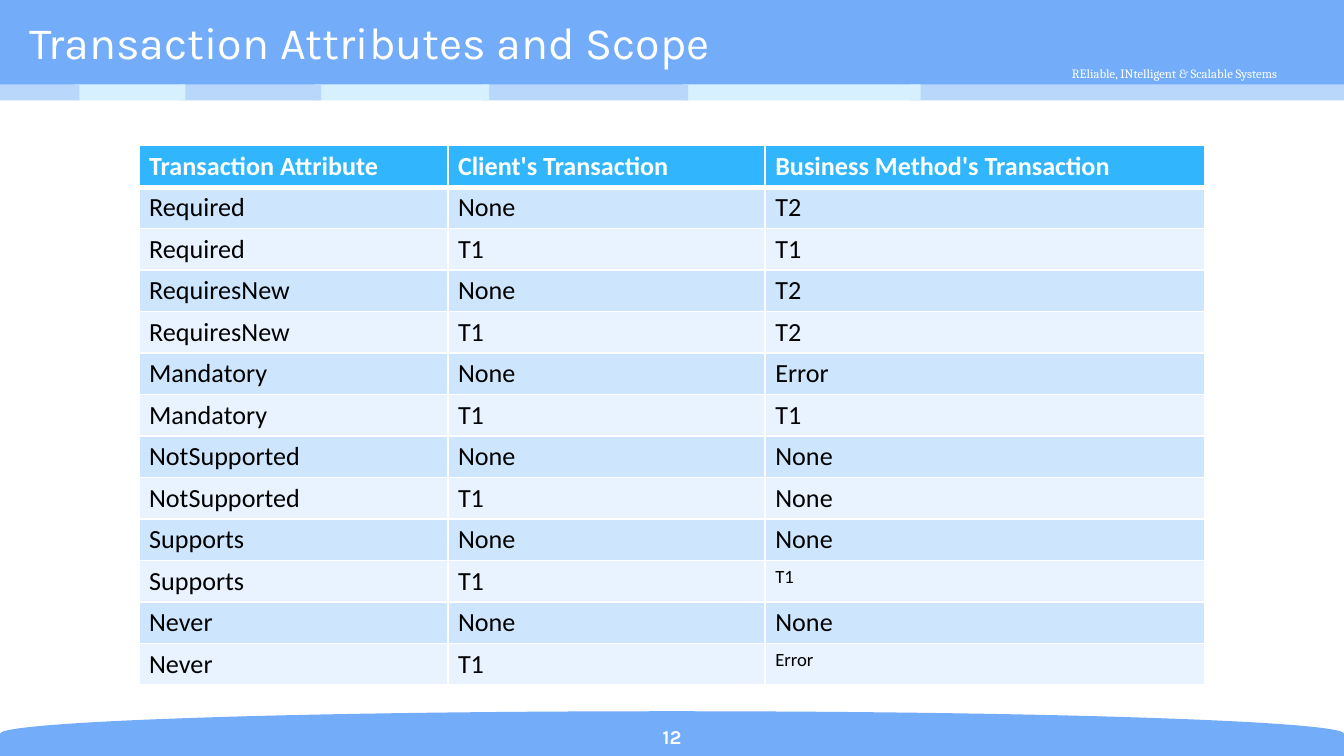
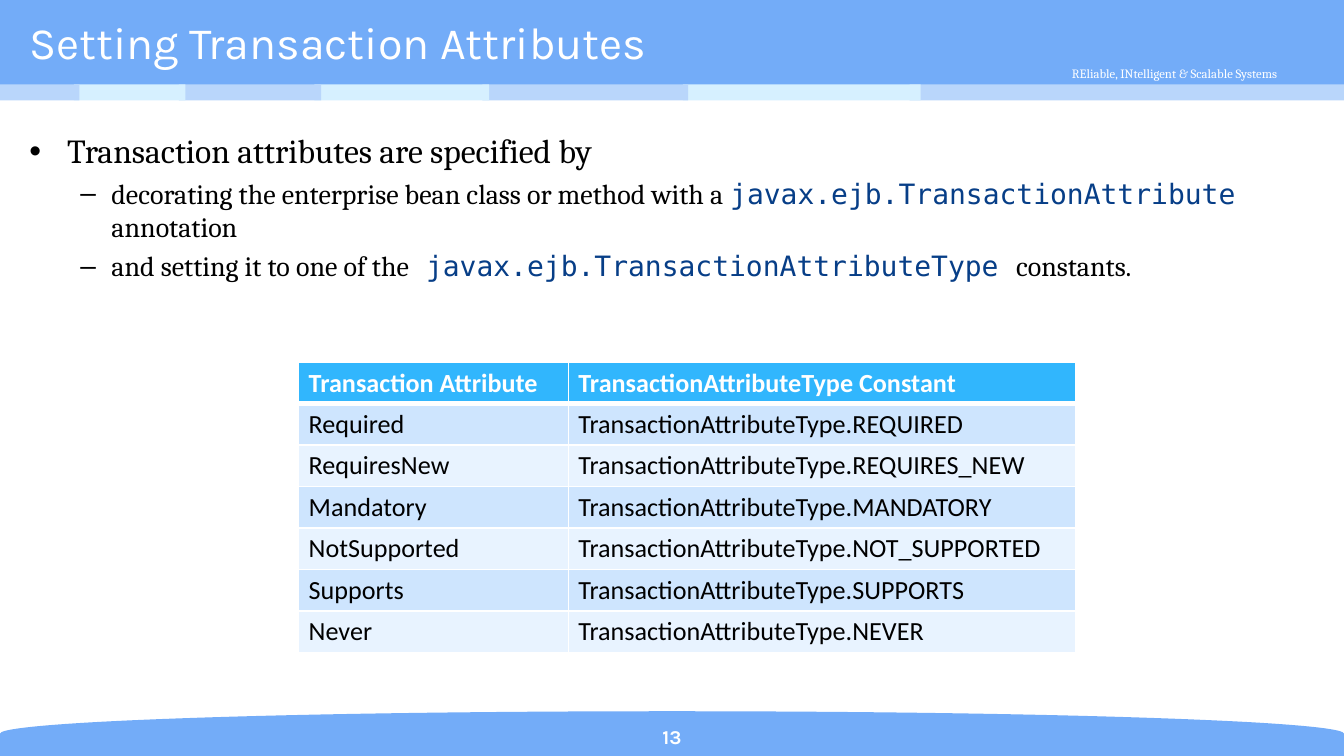
from dataclasses import dataclass

from lxml.etree import SubElement
from pptx import Presentation
from pptx.dml.color import RGBColor
from pptx.enum.shapes import MSO_SHAPE
from pptx.enum.text import MSO_ANCHOR, MSO_AUTO_SIZE, PP_ALIGN
from pptx.oxml.ns import qn
from pptx.util import Pt


@dataclass(frozen=True)
class Theme:
    blue: str = "73ACF8"
    pale: str = "B9D6FB"
    ice: str = "D6F0FF"
    white: str = "FFFFFF"
    black: str = "000000"
    navy: str = "073E87"
    head: str = "31B6FD"
    odd: str = "CEE5FE"
    even: str = "E8F3FF"
    sans: str = "Karla"
    serif: str = "Cambria"
    mono: str = "DejaVu Sans Mono"
    grid: str = "Calibri"
    title: float = 24
    lead: float = 18
    sub: float = 15
    cell: float = 14
    small: float = 10
    page: float = 10.5
    tag: float = 6.8


T = Theme()
WIDE, HIGH = 720, 405
ROW = 22.2
TAG = "REliable, INtelligent & Scalable Systems"
# Left edge and width of each strip tile
TILES = [(0, 42.5), (39.6, 59.8), (95.8, 76.3), (168.5, 93.6),
         (258.5, 110.2), (365.8, 127.4), (487.4, 232.6)]

SCOPE = [
    ("Transaction Attribute", "Client's Transaction", "Business Method's Transaction"),
    ("Required", "None", "T2"),
    ("Required", "T1", "T1"),
    ("RequiresNew", "None", "T2"),
    ("RequiresNew", "T1", "T2"),
    ("Mandatory", "None", "Error"),
    ("Mandatory", "T1", "T1"),
    ("NotSupported", "None", "None"),
    ("NotSupported", "T1", "None"),
    ("Supports", "None", "None"),
    ("Supports", "T1", "T1"),
    ("Never", "None", "None"),
    ("Never", "T1", "Error"),
]
TYPES = [
    ("Transaction Attribute", "TransactionAttributeType Constant"),
    ("Required", "TransactionAttributeType.REQUIRED"),
    ("RequiresNew", "TransactionAttributeType.REQUIRES_NEW"),
    ("Mandatory", "TransactionAttributeType.MANDATORY"),
    ("NotSupported", "TransactionAttributeType.NOT_SUPPORTED"),
    ("Supports", "TransactionAttributeType.SUPPORTS"),
    ("Never", "TransactionAttributeType.NEVER"),
]
# Level, then runs of text; every second run is code
POINTS = [
    (0, ["Transaction attributes are specified by"]),
    (1, ["decorating the enterprise bean class or method with a ",
         "javax.ejb.TransactionAttribute", " annotation"]),
    (1, ["and setting it to one of the",
         " javax.ejb.TransactionAttributeType ", "constants."]),
]
SLIDES = [
    dict(title="Transaction Attributes and Scope", page="12", layout=5,
         rows=SCOPE, left=74.5, top=78, cols=(165.5, 170, 235.5),
         small={(10, 2), (12, 2)}),
    dict(title="Setting Transaction Attributes", page="13", layout=1, points=POINTS,
         rows=TYPES, left=160, top=194, cols=(144.5, 272), small=set()),
]


def style(font, name, size, color, bold=False):
    font.name, font.size, font.bold = name, Pt(size), bold
    font.color.rgb = RGBColor.from_string(color)


def place(shape, *box):
    shape.left, shape.top, shape.width, shape.height = map(Pt, box)


def hang(para, left, first):
    """Set a hanging indent."""
    props = para._p.get_or_add_pPr()
    props.set("marL", str(Pt(left)))
    props.set("indent", str(Pt(first)))


def block(slide, kind, color, *box):
    shape = slide.shapes.add_shape(kind, *map(Pt, box))
    shape.shadow.inherit = False
    shape.fill.solid()
    shape.fill.fore_color.rgb = RGBColor.from_string(color)
    shape.line.fill.background()
    return shape


def label(slide, text, box, name, size, bold=False):
    shape = slide.shapes.add_textbox(*map(Pt, box))
    frame = shape.text_frame
    frame.word_wrap = True
    frame.text = text
    para = frame.paragraphs[0]
    para.alignment = PP_ALIGN.CENTER
    style(para.runs[0].font, name, size, T.white, bold)
    return shape


def dress(slide, master):
    """Draw the shared bands and move them to the master."""
    foot = block(slide, MSO_SHAPE.FLOWCHART_DELAY, T.blue, 348, 33, 24, WIDE)
    foot.rotation = 270
    parts = [foot, block(slide, MSO_SHAPE.RECTANGLE, T.blue, 0, 0, WIDE, 46.8)]
    tag = label(slide, TAG, (541.5, 31.7, 175.7, 15), T.serif, T.tag)
    tag.text_frame.auto_size = MSO_AUTO_SIZE.SHAPE_TO_FIT_TEXT
    parts.append(tag)
    for i, (left, width) in reversed(list(enumerate(TILES))):
        color = T.ice if i % 2 else T.pale
        parts.append(block(slide, MSO_SHAPE.RECTANGLE, color, left, 45.2, width, 8.6))
    for i, part in enumerate(parts, 100):
        part._element.nvSpPr.cNvPr.set("id", str(i))
        master.shapes._spTree.append(part._element)


def add_title(slide, text):
    shape = slide.shapes.title
    place(shape, 8.6, 8.6, 537, 32.4)
    frame = shape.text_frame
    frame.text = text
    frame.auto_size = MSO_AUTO_SIZE.NONE
    frame.vertical_anchor = MSO_ANCHOR.MIDDLE
    para = frame.paragraphs[0]
    para.alignment = PP_ALIGN.LEFT
    para.line_spacing = 0.8
    hang(para, 20.2, -20.2)
    style(para.runs[0].font, T.sans, T.title, T.white)


def add_points(slide, points):
    shape = slide.placeholders[1]
    place(shape, 8.6, 66.2, 692, 310)
    frame = shape.text_frame
    frame.auto_size = MSO_AUTO_SIZE.NONE
    for i, (level, texts) in enumerate(points):
        para = frame.add_paragraph() if i else frame.paragraphs[0]
        para.level = level
        size = T.sub if level else T.lead
        para.space_before = Pt(size * 0.2 if i else 0)
        hang(para, *((43.9, -16.6) if level else (20.2, -20.2)))
        for j, text in enumerate(texts):
            run = para.add_run()
            run.text = text
            name, color = (T.mono, T.navy) if j % 2 else (T.serif, T.black)
            style(run.font, name, size, color)


def edge(cell, top, base):
    """Give a cell white borders, with top and base widths in points."""
    props = cell._tc.get_or_add_tcPr()
    for side, width in zip("LRTB", (1, 1, top, base)):
        line = SubElement(props, qn("a:ln" + side), w=str(Pt(width)))
        fill = SubElement(line, qn("a:solidFill"))
        SubElement(fill, qn("a:srgbClr"), val=T.white)


def add_grid(slide, data):
    rows, cols = data["rows"], data["cols"]
    box = data["left"], data["top"], sum(cols), ROW * len(rows)
    grid = slide.shapes.add_table(len(rows), len(cols), *map(Pt, box)).table
    grid.horz_banding = False
    for col, width in zip(grid.columns, cols):
        col.width = Pt(width)
    for r, texts in enumerate(rows):
        grid.rows[r].height = Pt(ROW)
        shade = (T.odd if r % 2 else T.even) if r else T.head
        for c, text in enumerate(texts):
            cell = grid.cell(r, c)
            cell.margin_left = cell.margin_right = Pt(5.4)
            cell.margin_top = cell.margin_bottom = Pt(2.7)
            edge(cell, 3 if r == 1 else 1, 1 if r else 3)
            cell.fill.solid()
            cell.fill.fore_color.rgb = RGBColor.from_string(shade)
            cell.text_frame.text = text
            size = T.small if (r, c) in data["small"] else T.cell
            style(cell.text_frame.paragraphs[0].runs[0].font, T.grid, size,
                  T.black if r else T.white, r == 0)


def main():
    deck = Presentation()
    deck.slide_width, deck.slide_height = Pt(WIDE), Pt(HIGH)
    for i, data in enumerate(SLIDES):
        slide = deck.slides.add_slide(deck.slide_layouts[data["layout"]])
        if i == 0:
            dress(slide, deck.slide_master)
        add_title(slide, data["title"])
        if "points" in data:
            add_points(slide, data["points"])
        page = label(slide, data["page"], (320.4, 385.2, 79.2, 18.7), T.sans, T.page, True)
        page.text_frame.vertical_anchor = MSO_ANCHOR.MIDDLE
        add_grid(slide, data)
    deck.save("out.pptx")


if __name__ == "__main__":
    main()
